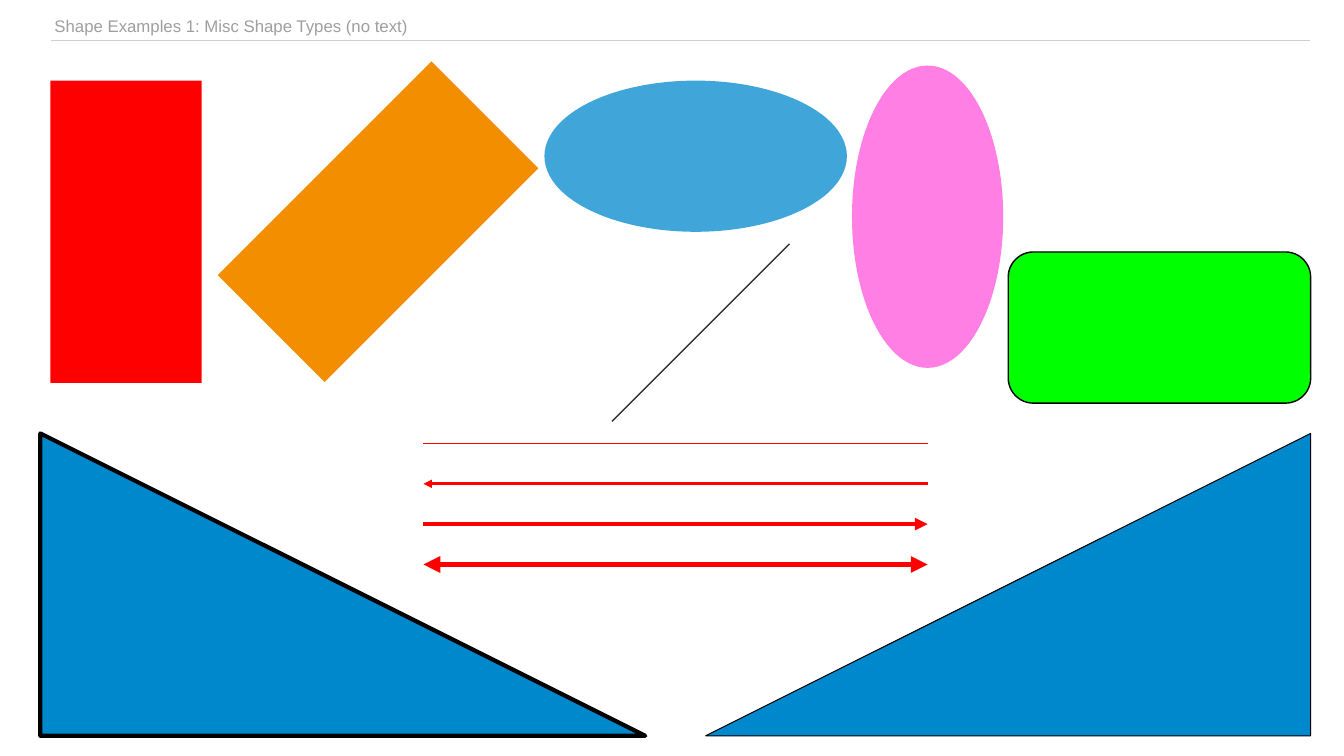
import lxml.etree
import pptx
import pptx.dml.color
import pptx.enum.shapes
import pptx.oxml.ns
import pptx.util

RGBColor = pptx.dml.color.RGBColor
SHAPE = pptx.enum.shapes.MSO_SHAPE
qn = pptx.oxml.ns.qn

RED = RGBColor(0xFF, 0x00, 0x00)
ORANGE = RGBColor(0xF3, 0x8E, 0x00)
BLUE = RGBColor(0x00, 0x88, 0xCC)
PINK = RGBColor(0xFF, 0x00, 0xCC)
GREEN = RGBColor(0x00, 0xFF, 0x00)
BLACK = RGBColor(0x00, 0x00, 0x00)
CHARCOAL = RGBColor(0x33, 0x33, 0x33)
TITLE_GRAY = RGBColor(0x9F, 0x9F, 0x9F)
RULE_GRAY = RGBColor(0xCF, 0xCF, 0xCF)

PX = 9144
SLIDE_SIZE = (1333, 750)

TITLE = "Shape Examples 1: Misc Shape Types (no text)"
TITLE_BOX = (50, 13, 1250, 27)
TITLE_MARGIN = 4
TITLE_FONT = {"name": "Arial", "size": pptx.util.Pt(12), "bold": False}

SHAPES = [
    {"kind": SHAPE.RECTANGLE, "box": (50, 80, 150, 300), "fill": RED},
    {"kind": SHAPE.RECTANGLE, "box": (300, 70, 150, 300), "fill": ORANGE, "rotation": 45},
    {"kind": SHAPE.OVAL, "box": (540, 80, 300, 150), "fill": BLUE, "opacity": 75},
    {"kind": SHAPE.OVAL, "box": (770, 140, 300, 150), "fill": PINK, "opacity": 50, "rotation": 90},
    {"kind": SHAPE.ROUNDED_RECTANGLE, "box": (1000, 250, 300, 150), "fill": GREEN, "outline": 1},
]
TRIANGLES = [
    {"kind": SHAPE.RIGHT_TRIANGLE, "box": (40, 430, 600, 300), "fill": BLUE, "outline": 3},
    {"kind": SHAPE.RIGHT_TRIANGLE, "box": (700, 430, 600, 300), "fill": BLUE, "outline": 0.75,
     "mirrored": True},
]

ARROW_ENDS = [(), ("headEnd",), ("tailEnd",), ("headEnd", "tailEnd")]
ARROW_LEFT, ARROW_RIGHT = 420, 920
ARROW_TOP, ARROW_STEP = 440, 40
DIAGONAL = (607, 418, 783, 242)


def emu(lengths):
    return [length * PX for length in lengths]


def add_title(slide):
    table = slide.shapes.add_table(1, 1, *emu(TITLE_BOX)).table
    table.first_row = False
    table.horz_banding = False
    cell = table.cell(0, 0)
    for side in ("left", "top", "right", "bottom"):
        setattr(cell, f"margin_{side}", TITLE_MARGIN * PX)
    cell.fill.background()
    border = lxml.etree.Element(qn("a:lnB"), w=str(pptx.util.Pt(1)))
    solid = lxml.etree.SubElement(border, qn("a:solidFill"))
    lxml.etree.SubElement(solid, qn("a:srgbClr"), val=str(RULE_GRAY))
    cell.fill._xPr.insert(0, border)
    run = cell.text_frame.paragraphs[0].add_run()
    run.text = TITLE
    for name, value in TITLE_FONT.items():
        setattr(run.font, name, value)
    run.font.color.rgb = TITLE_GRAY


def add_shape(slide, kind, box, fill, outline=None, opacity=100, rotation=0, mirrored=False):
    shape = slide.shapes.add_shape(kind, *emu(box))
    shape.shadow.inherit = False
    shape.rotation = rotation
    shape.fill.solid()
    shape.fill.fore_color.rgb = fill
    if opacity < 100:
        color = shape.element.spPr.find(f"{qn('a:solidFill')}/{qn('a:srgbClr')}")
        lxml.etree.SubElement(color, qn("a:alpha"), val=str(opacity * 1000))
    if outline:
        shape.line.color.rgb = BLACK
        shape.line.width = pptx.util.Pt(outline)
    else:
        shape.line.fill.background()
    if mirrored:
        shape.element.spPr.find(qn("a:xfrm")).set("flipH", "1")


def add_line(slide, points, color, width, ends=()):
    connector = slide.shapes.add_connector(
        pptx.enum.shapes.MSO_CONNECTOR.STRAIGHT, *emu(points))
    connector.line.color.rgb = color
    connector.line.width = pptx.util.Pt(width)
    properties = connector.element.spPr
    for end in ends:
        lxml.etree.SubElement(properties.find(qn("a:ln")), qn(f"a:{end}"), type="triangle")
    lxml.etree.SubElement(properties, qn("a:effectLst"))


def main():
    presentation = pptx.Presentation()
    presentation.slide_width, presentation.slide_height = emu(SLIDE_SIZE)
    slide = presentation.slides.add_slide(presentation.slide_layouts[6])
    add_title(slide)
    for item in SHAPES:
        add_shape(slide, **item)
    for index, ends in enumerate(ARROW_ENDS):
        y = ARROW_TOP + index * ARROW_STEP
        add_line(slide, (ARROW_LEFT, y, ARROW_RIGHT, y), RED, index + 1, ends)
    add_line(slide, DIAGONAL, CHARCOAL, 1)
    for item in TRIANGLES:
        add_shape(slide, **item)
    presentation.save("out.pptx")


if __name__ == "__main__":
    main()
